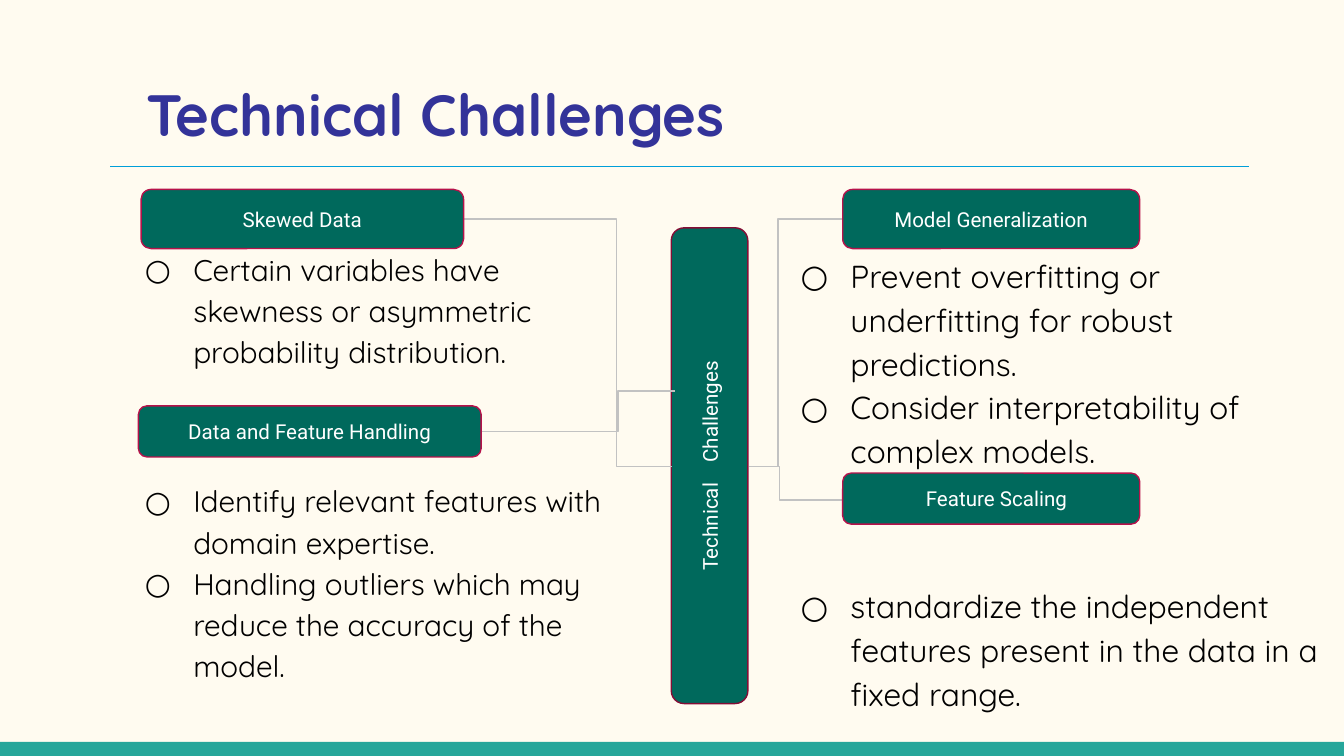
"""Build the Technical Challenges slide."""
from lxml.etree import SubElement as Sub
from pptx import Presentation
from pptx.dml.color import RGBColor
from pptx.enum.shapes import MSO_CONNECTOR as Link, MSO_SHAPE as Form
from pptx.enum.text import MSO_ANCHOR as Anchor, PP_ALIGN as Align
from pptx.oxml.ns import qn
from pptx.util import Inches, Pt

CREAM = RGBColor(0xFF, 0xFB, 0xF0)
TEAL = RGBColor(0x26, 0xA6, 0x9A)
GREEN = RGBColor(0x00, 0x69, 0x5C)
INDIGO = RGBColor(0x33, 0x33, 0x99)
BLUE = RGBColor(0x00, 0x9F, 0xD9)
GRAY = RGBColor(0xC2, 0xC2, 0xC2)
WINE = RGBColor(0x84, 0x0D, 0x35)
PINK = RGBColor(0xB6, 0x12, 0x4A)
BLACK = RGBColor(0, 0, 0)
WHITE = RGBColor(0xFF, 0xFF, 0xFF)


class Deck:
    head, body = "Quicksand", "Roboto"
    thin = Pt(0.75)

    def __init__(self, wide):
        self.show = Presentation()
        self.show.slide_width, self.show.slide_height = Inches(wide), Inches(wide * 9 / 16)
        self.slide = self.show.slides.add_slide(self.show.slide_layouts[6])
        fill = self.slide.background.fill
        fill.solid()
        fill.fore_color.rgb = CREAM

    def frame(self, shape, left=0.1, top=0.1, anchor=Anchor.TOP):
        frame = shape.text_frame
        style = dict(word_wrap=True, vertical_anchor=anchor,
                     margin_left=Inches(left), margin_top=Inches(top),
                     margin_right=Inches(0.1), margin_bottom=Inches(0.1))
        for key, value in style.items():
            setattr(frame, key, value)
        return frame

    def run(self, para, text, name, size, color, bold=False):
        run = para.add_run()
        run.text = text
        for key, value in dict(name=name, size=Pt(size), bold=bold).items():
            setattr(run.font, key, value)
        run.font.color.rgb = color
        return run

    def box(self, *at):
        return self.slide.shapes.add_textbox(*map(Inches, at))

    def title(self, text, *at):
        frame = self.frame(self.box(*at), left=0.75)
        self.run(frame.paragraphs[0], text, self.head, 31.2, INDIGO, True)

    def points(self, items, at, size, top, hang):
        frame = self.frame(self.box(*at), top=top)
        for index, (text, gap) in enumerate(items):
            para = frame.add_paragraph() if index else frame.paragraphs[0]
            para.level = 1
            para.line_spacing = 1.15
            para.space_before = Pt(gap)
            props = para._p.get_or_add_pPr()
            props.set("marL", str(Inches(1)))
            props.set("indent", str(-Inches(hang)))
            tint = Sub(props, qn("a:buClr"))
            Sub(tint, qn("a:srgbClr"), val=str(BLACK))
            Sub(props, qn("a:buFont"), typeface=self.head)
            Sub(props, qn("a:buChar"), char="○")
            self.run(para, text, self.head, size, BLACK)

    def shape(self, form, at, fill, edge=None):
        shape = self.slide.shapes.add_shape(form, *map(Inches, at))
        shape.shadow.inherit = False
        shape.fill.solid()
        shape.fill.fore_color.rgb = fill
        if edge is None:
            shape.line.fill.background()
        else:
            shape.line.color.rgb = edge
            shape.line.width = self.thin
        return shape

    def label(self, words, at, edge=PINK, turn=0, left=0.1, align=Align.CENTER):
        shape = self.shape(Form.ROUNDED_RECTANGLE, at, GREEN, edge)
        shape.rotation = turn
        para = self.frame(shape, left, anchor=Anchor.MIDDLE).paragraphs[0]
        para.alignment = align
        return [self.run(para, word, self.body, 11, WHITE) for word in words]

    def line(self, start, end, color, bend=None):
        kind = Link.STRAIGHT if bend is None else Link.ELBOW
        line = self.slide.shapes.add_connector(kind, *map(Inches, start + end))
        line.line.color.rgb = color
        line.line.width = self.thin
        props = line._element.spPr
        Sub(props, qn("a:effectLst"))
        if bend is not None:
            ratio = (bend - start[0]) / (end[0] - start[0])
            guides = props.find(qn("a:prstGeom")).get_or_add_avLst()
            Sub(guides, qn("a:gd"), name="adj1", fmla=f"val {round(ratio * 100000)}")

    def save(self):
        self.show.save("out.pptx")


def main():
    deck = Deck(10)
    deck.shape(Form.RECTANGLE, (0, 5.52, 10, 0.11), TEAL)
    deck.title("Technical Challenges", 0.34, 0.48, 5.62, 0.92)
    deck.points([
        ("Certain variables have skewness or asymmetric probability distribution.", 0),
        ("Identify relevant features with domain expertise.", 58),
        ("Handling outliers which may reduce the accuracy of the model.", 0),
    ], (0.34, 1.17, 4.37, 4.02), 16, 0.66, 0.36)
    deck.line((0.82, 1.24), (9.29, 1.24), BLUE)
    deck.points([
        ("Prevent overfitting or underfitting for robust predictions.", 0),
        ("Consider interpretability of complex models.", 0),
        ("standardize the independent features present in the data in a fixed range.", 59.6),
    ], (5.23, 1.24, 4.77, 4.66), 17, 0.63, 0.37)

    deck.line((5.61, 3.47), (6.27, 3.72), GRAY, 5.8)
    deck.line((5.57, 3.47), (6.27, 1.63), GRAY, 5.79)
    spine = deck.label(("Technical", " ", "Challenges"), (3.51, 3.18, 3.54, 0.57), WINE, 270)
    spine[1].font._element.set("spc", "820")
    deck.label(["Model Generalization"], (6.27, 1.41, 2.21, 0.44))
    deck.label(["Feature Scaling"], (6.27, 3.52, 2.21, 0.38), left=0.6, align=Align.LEFT)
    deck.line((5.02, 2.91), (3.57, 3.21), GRAY, 4.6)
    deck.line((3.45, 1.63), (5, 3.47), GRAY, 4.59)
    deck.label(["Skewed Data"], (1.05, 1.41, 2.4, 0.44))
    deck.label(["Data and Feature Handling"], (1.03, 3.02, 2.55, 0.38))
    deck.save()


if __name__ == "__main__":
    main()
